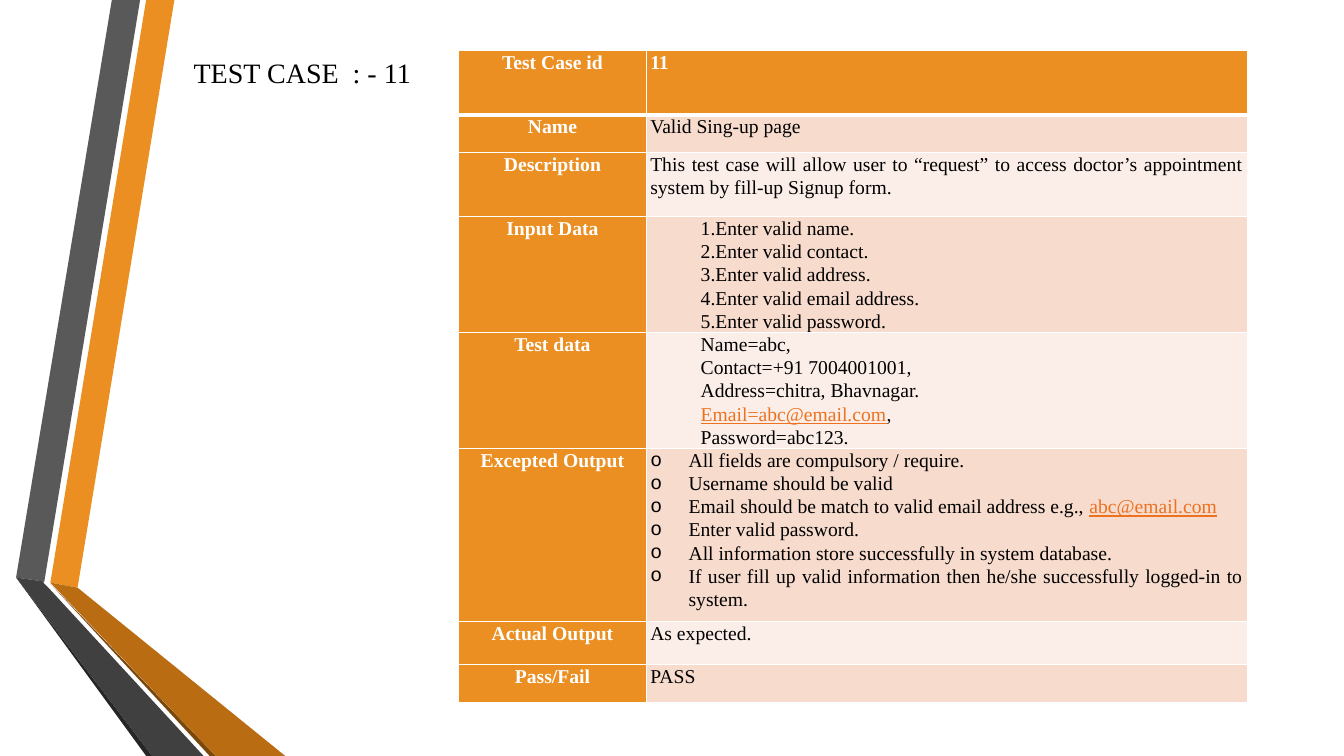
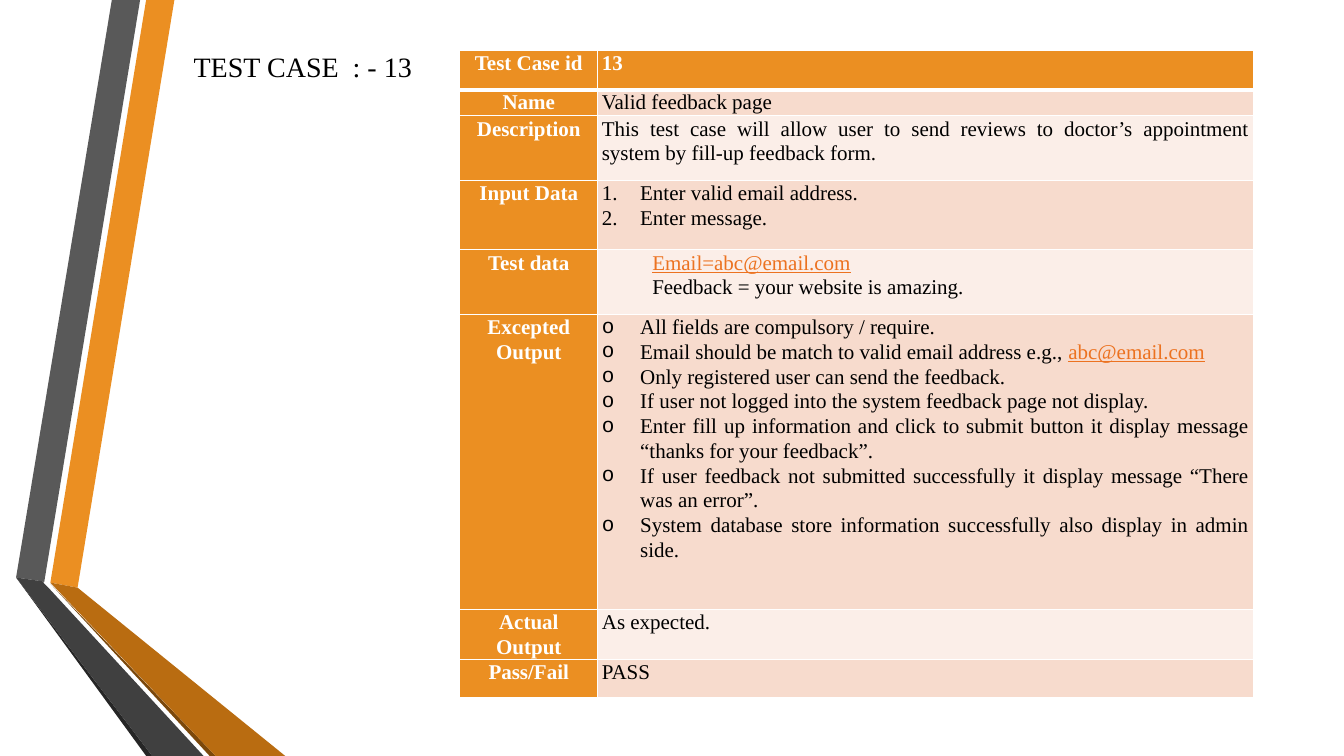
from lxml import etree
from pptx import Presentation
from pptx.dml.color import RGBColor as Rgb
from pptx.enum.text import MSO_ANCHOR as Anchor, MSO_AUTO_SIZE as Auto, PP_ALIGN as Align
from pptx.oxml.ns import qn
from pptx.util import Inches, Pt

COLS, ROWS = 1333, 750
CELL = Inches(0.01)
FONT = "Times New Roman"
HUES = {"band": "EB8F22", "odd": "F7DBCD", "even": "FBEEE8", "link": "EC7220",
        "ink": "000000", "page": "FFFFFF", "slate": "595959", "coal": "404040",
        "night": "262626", "rust": "B96C11", "bark": "7B480B"}
RIBBON = [
    ("band", [(34, 578), (61, 583), (157, 0), (129, 0)]),
    ("slate", [(123, 0), (95, 0), (0, 573), (28, 577)]),
    ("night", [(0, 573), (129, 750), (135, 750)]),
    ("bark", [(34, 579), (192, 750), (198, 750)]),
    ("rust", [(34, 578), (198, 750), (267, 750), (61, 583)]),
    ("coal", [(186, 750), (32, 583), (27, 578), (28, 577), (0, 573), (135, 750)]),
]
LISTS = {
    "plain": (0, 0, None, {}),
    "inset": (50, 0, None, {}),
    "dots": (38, -38, "a:buChar", {"char": "o"}),
    "count": (38, -38, "a:buAutoNum", {"type": "arabicPeriod"}),
}
CASES = [
    {"id": "11", "top": 50, "size": 14, "box": (455, 50), "cols": (186, 596),
     "rows": (64, 37, 64, 107, 107, 172, 42, 38),
     "text": [
         ("plain", ["Valid Sing-up page"]),
         ("plain", ["This test case will allow user to “request” to access doctor’s "
                    "appointment system by fill-up Signup form."]),
         ("inset", ["1.Enter valid name.", "2.Enter valid contact.",
                    "3.Enter valid address.", "4.Enter valid email address.",
                    "5.Enter valid password."]),
         ("inset", ["Name=abc,", "Contact=+91 7004001001,",
                    "Address=chitra, Bhavnagar.", "|Email=abc@email.com|,",
                    "Password=abc123."]),
         ("dots", ["All fields are compulsory / require.", "Username should be valid",
                   "Email should be match to valid email address e.g., |abc@email.com|",
                   "Enter valid password.",
                   "All information store successfully in system database.",
                   "If user fill up valid information then he/she successfully "
                   "logged-in to system."]),
     ]},
    {"id": "13", "top": 44, "size": 15, "box": (456, 50), "cols": (137, 650),
     "rows": (39, 26, 64, 69, 64, 293, 43, 38),
     "text": [
         ("plain", ["Valid feedback page"]),
         ("plain", ["This test case will allow user to send reviews to doctor’s "
                    "appointment system by fill-up feedback form."]),
         ("count", ["Enter valid email address.", "Enter message."]),
         ("inset", ["|Email=abc@email.com|", "Feedback = your website is amazing."]),
         ("dots", ["All fields are compulsory / require.",
                   "Email should be match to valid email address e.g., |abc@email.com|",
                   "Only registered user can send the feedback.",
                   "If user not logged into the system feedback page not display.",
                   "Enter fill up information and click to submit button it display "
                   "message “thanks for your feedback”.",
                   "If user feedback not submitted successfully it display message "
                   "“There was an error”.",
                   "System database store information successfully also display in "
                   "admin side."]),
     ]},
]
LABELS = ["Test Case id", "Name", "Description", "Input Data", "Test data",
          "Excepted Output", "Actual Output", "Pass/Fail"]
TAIL = [("plain", ["As expected."]), ("plain", ["PASS"])]


def apply(obj, **vals):
    """Set each given attribute on the object."""
    for name, val in vals.items():
        setattr(obj, name, val)


def hue(name):
    """Return the named colour."""
    return Rgb.from_string(HUES[name])


def add_run(para, text, size, tint, bold=False, line=False):
    """Add one formatted run to a paragraph."""
    run = para.add_run()
    run.text = text
    apply(run.font, name=FONT, size=Pt(size), bold=bold, underline=line)
    run.font.color.rgb = hue(tint)


def draw_ribbon(slide, left, top):
    """Draw the folded ribbon from its top left corner."""
    for tint, dots in RIBBON:
        pen = slide.shapes.build_freeform(*dots[0], scale=CELL)
        pen.add_line_segments(dots[1:], close=True)
        part = pen.convert_to_shape(left * CELL, top * CELL)
        part.shadow.inherit = False
        part.fill.solid()
        part.fill.fore_color.rgb = hue(tint)
        part.line.fill.background()


def set_title(slide, text, left, top, width, height):
    """Place the title placeholder in its box and fill it."""
    title = slide.shapes.title
    apply(title, left=left * CELL, top=top * CELL, width=width * CELL, height=height * CELL)
    frame = title.text_frame
    apply(frame, word_wrap=True, auto_size=Auto.NONE, vertical_anchor=Anchor.TOP)
    para = frame.paragraphs[0]
    para.alignment = Align.LEFT
    add_run(para, text, 20, "ink")


def set_list(para, kind):
    """Give a paragraph the indent and bullet of its list kind."""
    left, hang, tag, attrs = LISTS[kind]
    props = para._p.get_or_add_pPr()
    props.set("marL", str(left * CELL))
    props.set("indent", str(hang * CELL))
    if kind == "dots":
        etree.SubElement(props, qn("a:buFont")).set("typeface", "Courier New")
    if tag:
        etree.SubElement(props, qn(tag), attrs)


def set_edges(cell, row):
    """Draw white cell borders, thicker under the header row."""
    props = cell._tc.get_or_add_tcPr()
    for spot, side in enumerate("LRTB"):
        thick = (row, side) in ((0, "B"), (1, "T"))
        line = etree.Element(qn("a:ln" + side), w=str(Pt(3 if thick else 1)))
        fill = etree.SubElement(line, qn("a:solidFill"))
        etree.SubElement(fill, qn("a:srgbClr"), val=HUES["page"])
        props.insert(spot, line)


def fill_cell(cell, row, kind, lines, size, head, align):
    """Fill one cell with its paragraphs, colour and borders."""
    side = 4 * CELL
    apply(cell, margin_left=side, margin_right=side, margin_top=0, margin_bottom=0)
    cell.fill.solid()
    cell.fill.fore_color.rgb = hue("band" if head else "odd" if row % 2 else "even")
    set_edges(cell, row)
    frame = cell.text_frame
    for spot, text in enumerate(lines):
        para = frame.add_paragraph() if spot else frame.paragraphs[0]
        set_list(para, kind)
        last = spot == len(lines) - 1
        apply(para, alignment=align, line_spacing=1.07, space_after=Pt(8 if last else 0))
        for turn, piece in enumerate(text.split("|")):
            link = turn % 2 == 1
            tint = "page" if head else "link" if link else "ink"
            if piece:
                add_run(para, piece, size, tint, head, link)


def draw_table(slide, case):
    """Build the test case table in the box of the case."""
    left, top = case["box"]
    cols, rows = case["cols"], case["rows"]
    box = [n * CELL for n in (left, top, sum(cols), sum(rows))]
    table = slide.shapes.add_table(len(rows), len(cols), *box).table
    table.horz_banding = False
    for col, wide in zip(table.columns, cols):
        col.width = wide * CELL
    body = [("plain", [case["id"]])] + case["text"] + TAIL
    for row, (label, (kind, lines)) in enumerate(zip(LABELS, body)):
        table.rows[row].height = rows[row] * CELL
        size = case["size"]
        fill_cell(table.cell(row, 0), row, "plain", [label], size, True, Align.CENTER)
        fill_cell(table.cell(row, 1), row, kind, lines, size, row == 0, Align.JUSTIFY)


def add_case(deck, case):
    """Add one test case slide."""
    slide = deck.slides.add_slide(deck.slide_layouts[5])
    draw_ribbon(slide, 16, 0)
    set_title(slide, "TEST CASE  : - " + case["id"], 182, case["top"], 241, 44)
    draw_table(slide, case)


def main():
    """Build and save the deck."""
    deck = Presentation()
    apply(deck, slide_width=COLS * CELL, slide_height=ROWS * CELL)
    for case in CASES:
        add_case(deck, case)
    deck.save("out.pptx")


if __name__ == "__main__":
    main()
